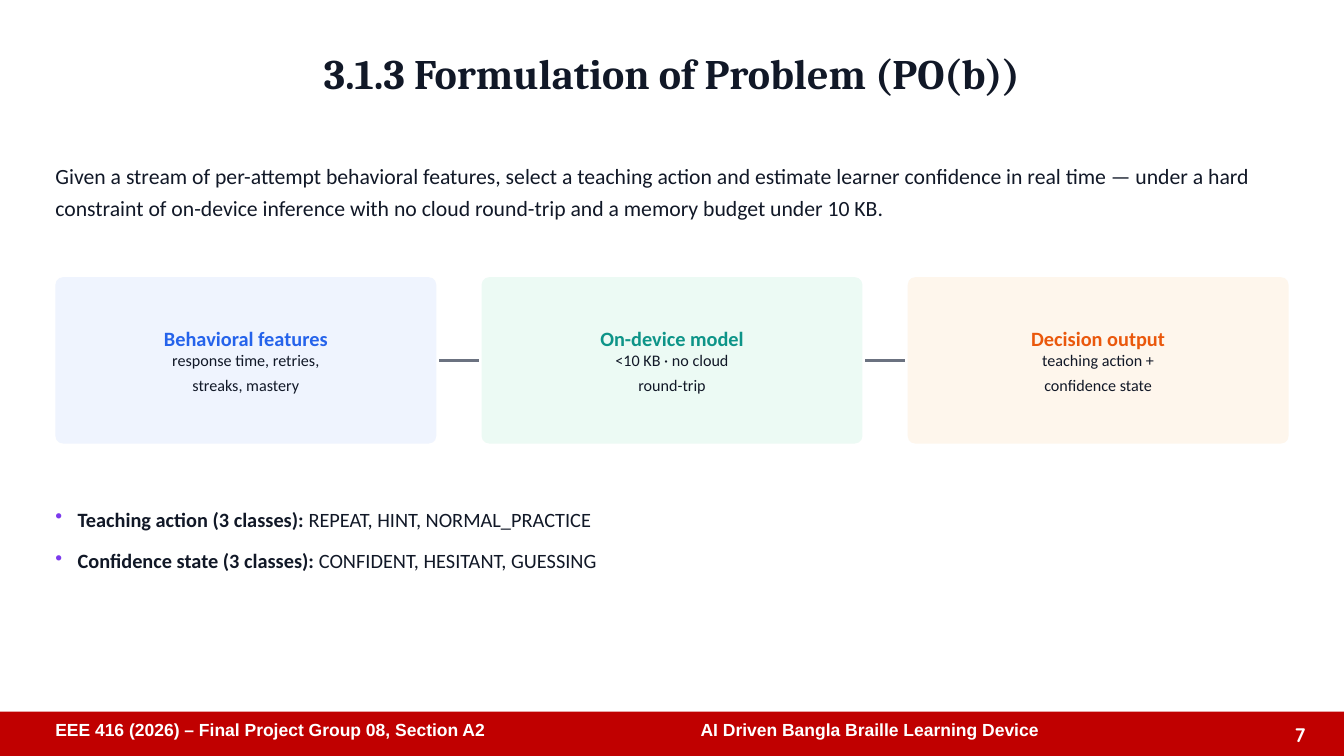
from dataclasses import dataclass

from lxml.etree import SubElement
from pptx import Presentation
from pptx.dml.color import RGBColor
from pptx.enum.shapes import MSO_CONNECTOR as Line, MSO_SHAPE as Shape
from pptx.enum.text import MSO_ANCHOR as Anchor, MSO_AUTO_SIZE as AutoSize, PP_ALIGN as Align
from pptx.oxml.ns import qn
from pptx.util import Inches, Pt


@dataclass(frozen=True)
class Theme:
    ink: str = "111827"
    white: str = "FFFFFF"
    band: str = "C00000"
    link: str = "6B7280"
    bullet: str = "7C3AED"
    head_font: str = "Cambria"
    body_font: str = "Calibri"
    foot_font: str = "Arial"
    page_font: str = "Quicksand"
    title: float = 30
    lead: float = 15.5
    label: float = 14.5
    detail: float = 11.5
    foot: float = 12.5
    page: float = 14


@dataclass(frozen=True)
class Grid:
    width: float = 13.33
    height: float = 7.5
    margin: float = 0.55
    gap: float = 0.45
    columns: int = 3

    @property
    def inner(self):
        return self.width - 2 * self.margin

    @property
    def column(self):
        return (self.inner - self.gap * (self.columns - 1)) / self.columns

    def left(self, i):
        return self.margin + i * (self.column + self.gap)

    def full(self, top, height):
        return self.margin, top, self.inner, height


T = Theme()
G = Grid()
CARD_TOP, CARD_HEIGHT = 2.75, 1.65
FOOT_TOP = 7.06

CARDS = [
    ("Behavioral features", ["response time, retries,", "streaks, mastery"], "2563EB", "EFF4FE"),
    ("On-device model", ["<10 KB · no cloud", "round-trip"], "0D9488", "ECFAF4"),
    ("Decision output", ["teaching action +", "confidence state"], "EA580C", "FEF6EC"),
]
CLASSES = [
    ("Teaching action (3 classes): ", "REPEAT, HINT, NORMAL_PRACTICE"),
    ("Confidence state (3 classes): ", "CONFIDENT, HESITANT, GUESSING"),
]


def rgb(color):
    return RGBColor.from_string(color)


def box(at):
    return [Inches(v) for v in at]


def add_run(p, text, size, color=T.ink, bold=False, font=T.body_font):
    r = p.add_run()
    r.text = text
    r.font.name, r.font.size, r.font.bold = font, Pt(size), bold
    r.font.color.rgb = rgb(color)


def set_frame(tf, insets=(0.1, 0.05), anchor=Anchor.TOP):
    side, end = map(Inches, insets)
    tf.margin_left = tf.margin_right = side
    tf.margin_top = tf.margin_bottom = end
    tf.word_wrap = True
    tf.auto_size = AutoSize.NONE
    tf.vertical_anchor = anchor
    return tf


def add_text(s, at, **frame):
    return set_frame(s.shapes.add_textbox(*box(at)).text_frame, **frame)


def add_panel(s, kind, at, fill):
    sp = s.shapes.add_shape(kind, *box(at))
    sp.shadow.inherit = False
    sp.fill.solid()
    sp.fill.fore_color.rgb = rgb(fill)
    sp.line.fill.background()
    return sp


def next_paragraph(tf, i):
    return tf.add_paragraph() if i else tf.paragraphs[0]


def add_footer(s):
    add_panel(s, Shape.RECTANGLE, (0, FOOT_TOP, G.width, 0.45), T.band)
    page = add_text(s, (12.48, 7.11, 0.57, 0.34), anchor=Anchor.BOTTOM).paragraphs[0]
    page.alignment = Align.RIGHT
    add_run(page, "7", T.page, T.white, True, T.page_font)
    for left, width, text in [
        (0.45, 6.3, "EEE 416 (2026) – Final Project Group 08, Section A2"),
        (6.85, 5.35, "AI Driven Bangla Braille Learning Device"),
    ]:
        tf = add_text(s, (left, FOOT_TOP + 0.02, width, 0.42))
        add_run(tf.paragraphs[0], text, T.foot, T.white, True, T.foot_font)


def add_title(s, text):
    sp = s.shapes.title
    sp.left, sp.top, sp.width, sp.height = box(G.full(0.42, 1))
    p = set_frame(sp.text_frame, (0, 0.05)).paragraphs[0]
    p.alignment = Align.CENTER
    add_run(p, text, T.title, bold=True, font=T.head_font)


def add_lead(s, text):
    p = add_text(s, G.full(1.55, 1), insets=(0, 0)).paragraphs[0]
    p.line_spacing = 1.25
    add_run(p, text, T.lead)


def add_card(s, i, heading, details, color, fill):
    sp = add_panel(s, Shape.ROUNDED_RECTANGLE, (G.left(i), CARD_TOP, G.column, CARD_HEIGHT), fill)
    sp.adjustments[0] = 0.045
    tf = set_frame(sp.text_frame, (0.15, 0.05), Anchor.MIDDLE)
    for n, text in enumerate([heading, *details]):
        p = next_paragraph(tf, n)
        p.alignment = Align.CENTER
        if n == 0:
            add_run(p, text, T.label, color, True)
        else:
            p.space_before = Pt(4 if n > 1 else 0)
            add_run(p, text, T.detail)


def add_link(s, i):
    y = CARD_TOP + CARD_HEIGHT / 2
    start, end = G.left(i) - G.gap + 0.03, G.left(i) - 0.03
    c = s.shapes.add_connector(Line.STRAIGHT, *box((start, y, end, y)))
    c.line.color.rgb = rgb(T.link)
    c.line.width = Pt(1.75)
    SubElement(c._element.spPr, qn("a:effectLst"))


def set_bullet(p, indent):
    pPr = p._p.get_or_add_pPr()
    pPr.set("marL", str(Inches(indent)))
    pPr.set("indent", str(-Inches(indent)))
    SubElement(SubElement(pPr, qn("a:buClr")), qn("a:srgbClr"), val=T.bullet)
    SubElement(pPr, qn("a:buChar"), char="•")


def add_bullets(s, items):
    tf = add_text(s, G.full(5, 1.4), insets=(0, 0))
    for i, (term, values) in enumerate(items):
        p = next_paragraph(tf, i)
        p.line_spacing, p.space_after = 1.12, Pt(10)
        set_bullet(p, 0.22)
        add_run(p, term, T.label, bold=True)
        add_run(p, values, T.label)


def main():
    prs = Presentation()
    prs.slide_width, prs.slide_height = Inches(G.width), Inches(G.height)
    s = prs.slides.add_slide(prs.slide_layouts[5])
    add_footer(s)
    add_title(s, "3.1.3 Formulation of Problem (PO(b))")
    add_lead(s, "Given a stream of per-attempt behavioral features, select a teaching action "
                "and estimate learner confidence in real time — under a hard constraint of "
                "on-device inference with no cloud round-trip and a memory budget under 10 KB.")
    for i, card in enumerate(CARDS):
        if i:
            add_link(s, i)
        add_card(s, i, *card)
    add_bullets(s, CLASSES)
    prs.save("out.pptx")


if __name__ == "__main__":
    main()
